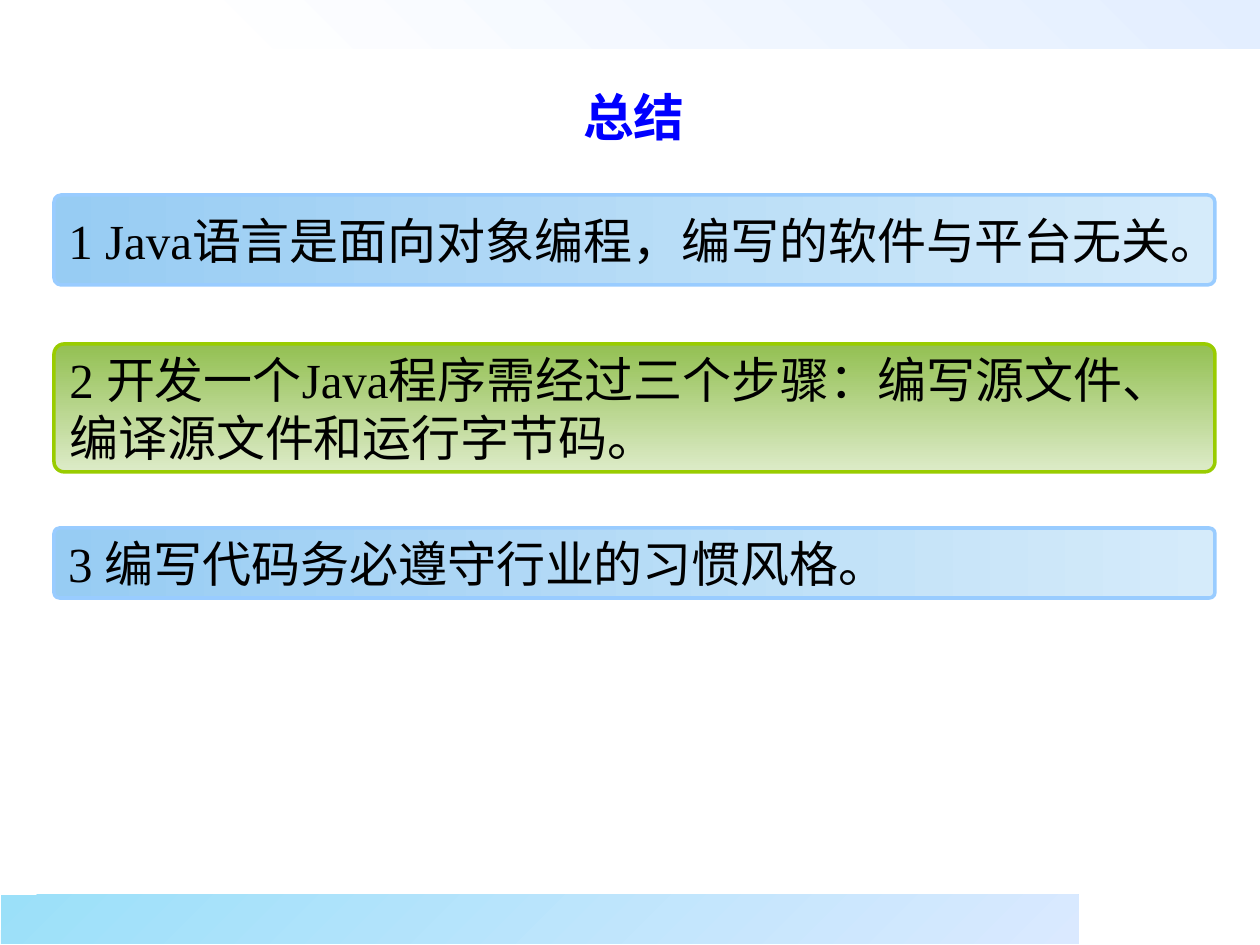
import pptx
import pptx.util
import pptx.dml.color
import pptx.enum.shapes
import pptx.enum.text

PX = 7257
theme = {
    "title": ("Calibri", 29, "0000FF", True),
    "body": ("Times New Roman", 28, "000000", False),
    "blue": ("97CCF3", "D5EBFA", 0, "99CCFF"),
    "green": ("93C052", "DDEBC8", 270, "99CC00"),
    "top": ("FFFFFF", "E3EEFF", 45, None),
    "foot": ("9BE0F9", "DAE9FF", 315, None),
}
rgb = pptx.dml.color.RGBColor.from_string
kinds = pptx.enum.shapes.MSO_SHAPE
align = pptx.enum.text.PP_ALIGN

deck = pptx.Presentation()
deck.slide_width = pptx.util.Inches(10)
deck.slide_height = pptx.util.Inches(7.5)
slide = deck.slides.add_slide(deck.slide_layouts[6])


def write(shape, lines, style, side):
    name, size, color, bold = theme[style]
    frame = shape.text_frame
    frame.vertical_anchor = pptx.enum.text.MSO_ANCHOR.MIDDLE
    for i, line in enumerate(lines):
        para = frame.paragraphs[0] if i == 0 else frame.add_paragraph()
        para.alignment = side
        run = para.add_run()
        run.text = line
        run.font.name = name
        run.font.size = pptx.util.Pt(size)
        run.font.bold = bold
        run.font.color.rgb = rgb(color)


def panel(kind, box, tone):
    start, end, angle, edge = theme[tone]
    shape = slide.shapes.add_shape(kind, *[n * PX for n in box])
    shape.shadow.inherit = False
    shape.fill.gradient()
    shape.fill.gradient_angle = angle
    for stop, color in zip(shape.fill.gradient_stops, (start, end)):
        stop.color.rgb = rgb(color)
    if edge:
        shape.line.color.rgb = rgb(edge)
        shape.line.width = pptx.util.Pt(2)
    else:
        shape.line.fill.background()
    return shape


title = slide.shapes.add_textbox(*[n * PX for n in (54, 86, 1160, 69)])
title.text_frame.word_wrap = True
write(title, ["总结"], "title", align.CENTER)
title.text_frame.paragraphs[0].line_spacing = 0.85

points = [
    (195, 90, "blue", ["1 Java语言是面向对象编程，编写的软件与平台无关。"]),
    (344, 128, "green", ["2 开发一个Java程序需经过三个步骤：编写源文件、",
                         "编译源文件和运行字节码。"]),
    (528, 70, "blue", ["3 编写代码务必遵守行业的习惯风格。"]),
]
for top, high, tone, lines in points:
    card = panel(kinds.ROUNDED_RECTANGLE, (54, top, 1161, high), tone)
    card.adjustments[0] = 0.08
    card.text_frame.word_wrap = False
    write(card, lines, "body", align.LEFT)

bars = [("top", (194, 0, 1066, 49)), ("foot", (1, 895, 1078, 49))]
for tone, box in bars:
    panel(kinds.RECTANGLE, box, tone)

deck.save("out.pptx")
